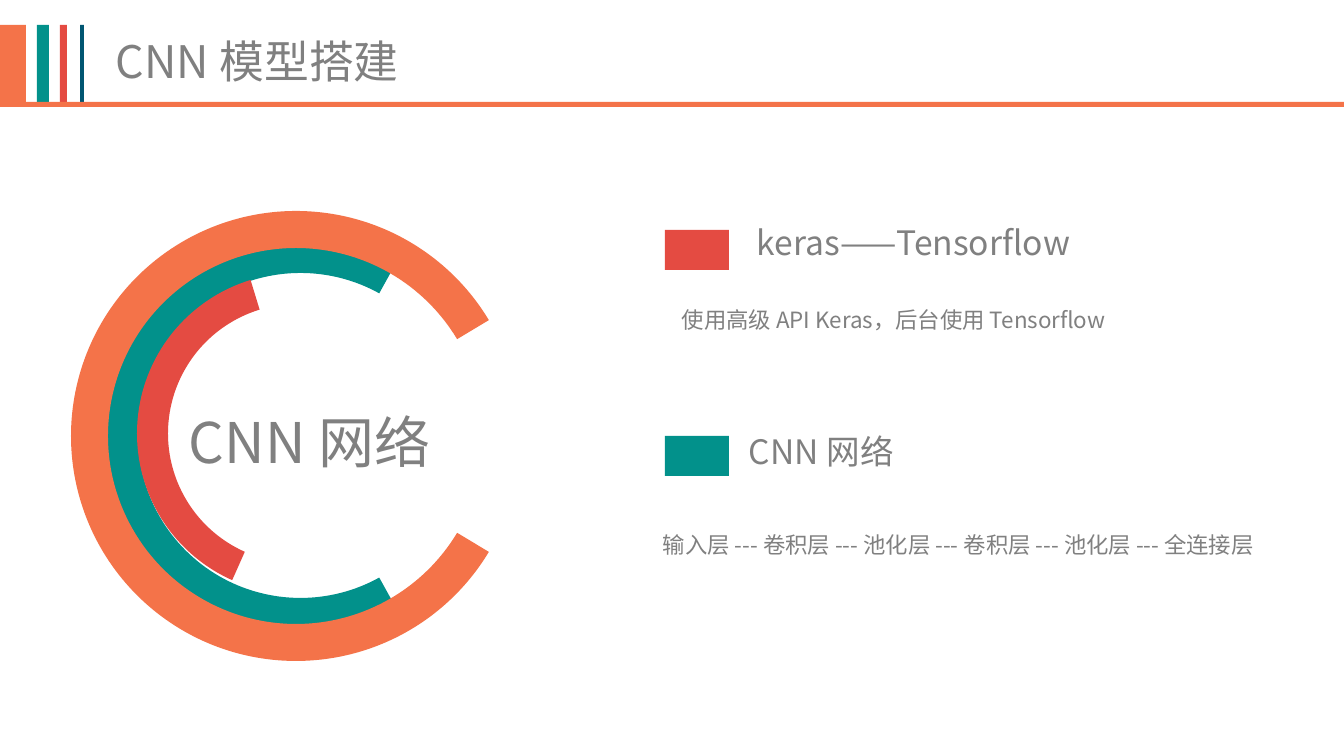
from itertools import pairwise

from pptx import Presentation
from pptx.dml.color import RGBColor
from pptx.enum.shapes import MSO_SHAPE as Preset
from pptx.enum.text import MSO_AUTO_SIZE as AutoSize
from pptx.oxml.ns import qn
from pptx.util import Emu, Pt

EMU_PER_PX = 914400 / 100.8
FONT = "Noto Sans CJK SC"
COLORS = {
    "orange": "F47349",
    "teal": "02918B",
    "red": "E44B42",
    "navy": "015672",
    "gray": "808080",
}


def px(length):
    return Emu(round(length * EMU_PER_PX))


def color(name):
    return RGBColor.from_string(COLORS[name])


def add_filled(slide, preset, box, fill):
    part = slide.shapes.add_shape(preset, *map(px, box))
    part.shadow.inherit = False
    part.fill.solid()
    part.fill.fore_color.rgb = color(fill)
    part.line.fill.background()
    return part


def add_ring(slide, left, top, diameter, thickness, start, end, fill):
    ring = add_filled(slide, Preset.BLOCK_ARC, (left, top, diameter, diameter), fill)
    ring.adjustments[0] = start * 0.6
    ring.adjustments[1] = end * 0.6
    ring.adjustments[2] = thickness / diameter


def add_label(slide, box, wording, size):
    frame = slide.shapes.add_textbox(*map(px, box)).text_frame
    frame.word_wrap = True
    frame.auto_size = AutoSize.SHAPE_TO_FIT_TEXT
    run = frame.paragraphs[0].add_run()
    run.text = wording
    for attribute, value in {"name": FONT, "size": Pt(size)}.items():
        setattr(run.font, attribute, value)
    run.font.color.rgb = color("gray")
    east_asian = run.font._element.makeelement(qn("a:ea"), {"typeface": FONT})
    run.font._element.append(east_asian)


def add_header(slide):
    add_label(slide, (106, 29, 516, 65), "CNN 模型搭建", 32)
    stripes = [(0, 26, "orange"), (37, 12, "teal"), (60, 7, "red"), (80, 4, "navy")]
    for left, width, fill in stripes:
        add_filled(slide, Preset.RECTANGLE, (left, 25, width, 77), fill)
    for left, right in pairwise([0, 422, 794, 1093, 1344]):
        add_filled(slide, Preset.RECTANGLE, (left, 102, right - left, 5), "orange")


def add_network_rings(slide):
    add_ring(slide, 107, 242, 387, 31, 61, 299, "teal")
    add_ring(slide, 137, 273, 321, 31, 114, 253, "red")
    add_ring(slide, 71, 211, 450, 37, 31, 329, "orange")
    add_label(slide, (179, 403, 356, 78), "CNN 网络", 40)


def add_topic(slide, swatch_top, fill, heading, heading_at, detail, detail_at):
    add_filled(slide, Preset.RECTANGLE, (665, swatch_top, 64, 40), fill)
    add_label(slide, (*detail_at, 671, 37), detail, 16)
    add_label(slide, (*heading_at, 356, 50), heading, 24)


def main():
    deck = Presentation()
    deck.slide_width, deck.slide_height = px(1344), px(756)
    slide = deck.slides.add_slide(deck.slide_layouts[6])
    layers = ["输入层", "卷积层", "池化层", "卷积层", "池化层", "全连接层"]
    add_header(slide)
    add_network_rings(slide)
    add_topic(slide, 230, "red", "keras——Tensorflow", (747, 217),
              "使用高级 API Keras，后台使用 Tensorflow", (672, 301))
    add_topic(slide, 436, "teal", "CNN 网络", (739, 426),
              " --- ".join(layers), (653, 526))
    deck.save("out.pptx")


if __name__ == "__main__":
    main()
